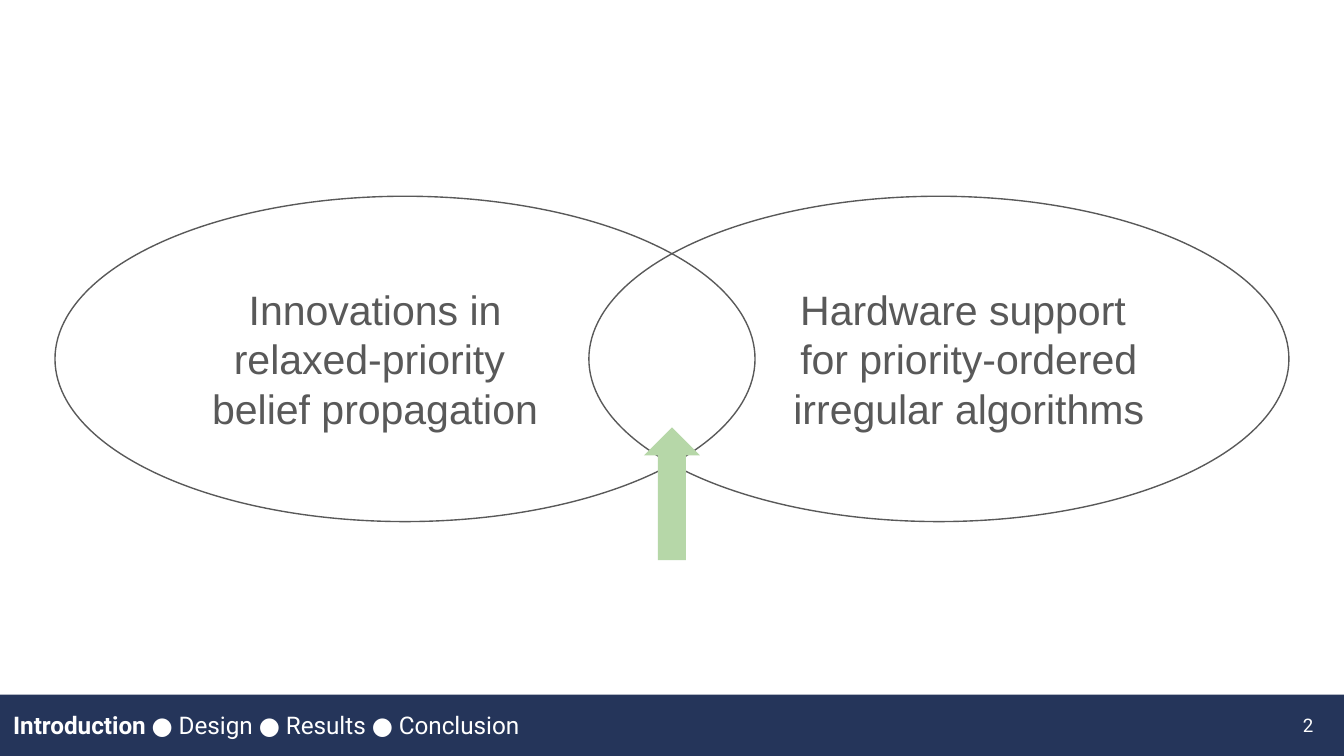
from pptx import Presentation
from pptx.dml.color import RGBColor
from pptx.enum.shapes import MSO_SHAPE
from pptx.enum.text import MSO_ANCHOR, PP_ALIGN
from pptx.util import Cm, Pt

HUES = {"navy": "25355A", "gray": "595959", "green": "B6D7A8", "white": "FFFFFF"}
WIDE, HIGH = 25.4, 14.29


def hue(name):
    return RGBColor.from_string(HUES[name])


def add_form(slide, kind, box, fill=None, line=None):
    form = slide.shapes.add_shape(kind, *map(Cm, box))
    form.shadow.inherit = False
    if fill:
        form.fill.solid()
        form.fill.fore_color.rgb = hue(fill)
    else:
        form.fill.background()
    if line:
        form.line.color.rgb = hue(line)
        form.line.width = Pt(0.75)
    else:
        form.line.fill.background()
    return form


def add_text(slide, box, paras, size=22, font="Arial", color="gray",
             align=PP_ALIGN.CENTER):
    """Each paragraph is a list of (text, bold) runs."""
    frame = slide.shapes.add_textbox(*map(Cm, box)).text_frame
    frame.word_wrap = True
    frame.vertical_anchor = MSO_ANCHOR.MIDDLE
    frame.margin_left = frame.margin_right = Cm(0.25)
    frame.margin_top = frame.margin_bottom = Cm(0.25)
    for i, runs in enumerate(paras):
        para = frame.paragraphs[0] if i == 0 else frame.add_paragraph()
        para.alignment = align
        for text, bold in runs:
            run = para.add_run()
            run.text = text
            run.font.size = Pt(size)
            run.font.name = font
            run.font.bold = bold
            run.font.color.rgb = hue(color)


def add_venn(slide, box, topics):
    left, top, width, height = box
    oval = 13.23
    step = width - oval
    mid = left + width / 2

    # Overlapping ovals
    for x in (left, left + step):
        add_form(slide, MSO_SHAPE.OVAL, (x, top, oval, height), line="gray")

    # Topics on either side of the overlap
    text_w, text_h = 8.08, 3.99
    spots = (left + step - text_w, left + oval)
    for x, lines in zip(spots, topics):
        add_text(slide, (x, top + 1.07, text_w, text_h),
                 [[(line, False)] for line in lines])

    # Arrow to the overlap
    arrow = 1.06
    add_form(slide, MSO_SHAPE.UP_ARROW,
             (mid - arrow / 2, top + 4.37, arrow, 2.51), fill="green")


def add_footer(slide, box, steps, page):
    left, top, width, height = box
    add_form(slide, MSO_SHAPE.RECTANGLE, box, fill="navy")
    style = {"font": "Roboto", "color": "white"}
    page_x, text_y, text_h = width - 1.85, top + 0.03, 1.09

    # Page number
    add_text(slide, (left + page_x, text_y, 1.52, text_h), [[(page, False)]],
             size=10, align=PP_ALIGN.RIGHT, **style)

    # Section trail, current section in bold
    first, *rest = steps
    trail = [(first + " ", True), ("● " + " ● ".join(rest), False)]
    add_text(slide, (left, text_y, page_x, text_h), [trail],
             size=13, align=PP_ALIGN.LEFT, **style)


def main():
    deck = Presentation()
    deck.slide_width, deck.slide_height = Cm(WIDE), Cm(HIGH)
    slide = deck.slides.add_slide(deck.slide_layouts[6])
    bar = 1.16
    add_footer(slide, (0, HIGH - bar, WIDE, bar),
               ["Introduction", "Design", "Results", "Conclusion"], "2")
    add_venn(slide, (1.04, 3.71, 23.32, 6.15), [
        ["Innovations in relaxed-priority ", "belief propagation"],
        ["Hardware support ", "for priority-ordered irregular algorithms"],
    ])
    deck.save("out.pptx")


if __name__ == "__main__":
    main()
